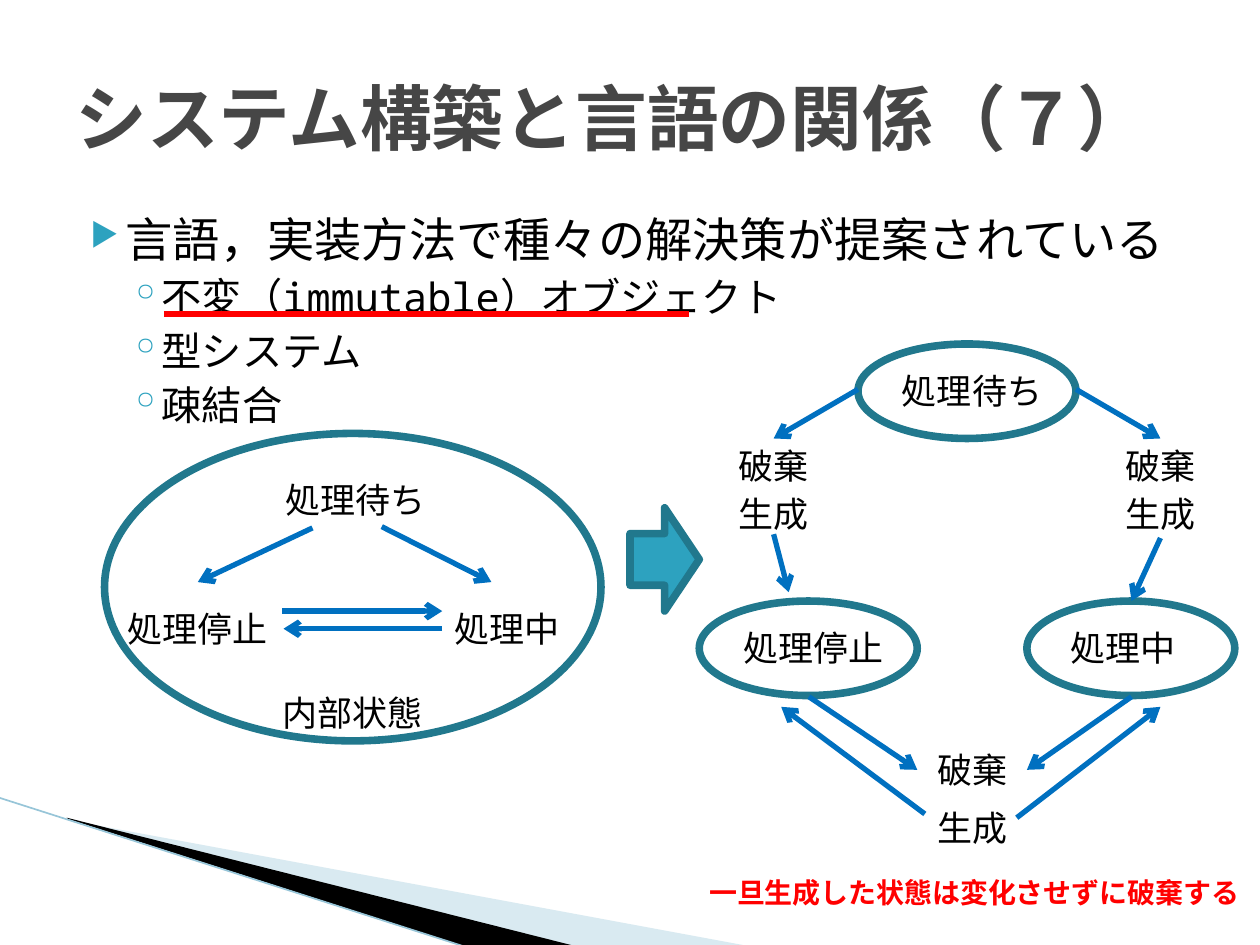
from lxml import etree
from pptx import Presentation, util as u
from pptx.dml.color import RGBColor
from pptx.enum import shapes as sh, text as tx
from pptx.oxml.ns import qn

COLS, ROWS = 100, 75
FONT = "Noto Sans Mono"
INK = {"title": "464646", "text": "000000", "alert": "FF0000", "arrow": "0070C0",
       "ring": "21788D", "accent": "2DA2BF", "pale": "A0CBDC", "edge": "97C5D8"}

deck = Presentation()
deck.slide_width, deck.slide_height = u.Inches(10), u.Inches(7.5)
CELL = deck.slide_width / COLS
page = deck.slides.add_slide(deck.slide_layouts[6])


def grid(*vals):
    """Turn grid cells into slide lengths."""
    return [round(v * CELL) for v in vals]


def shift(box, x, y):
    """Move a point from a box to the slide."""
    return box[0] + x, box[1] + y


def tint(name):
    """Look up a colour by its role."""
    return RGBColor.from_string(INK[name])


def add(node, tag, **attrs):
    """Append a drawing element to a node."""
    return etree.SubElement(node, qn("a:" + tag), attrs)


def style(para, size, color="text", bold=False):
    """Format every run of a paragraph."""
    for run in para.runs:
        font = run.font
        font.size, font.name, font.bold = u.Pt(size), FONT, bold
        font.color.rgb = tint(color)
        add(run._r.get_or_add_rPr(), "ea", typeface=FONT)


def frame(box):
    """Add a wrapping text box and return its frame."""
    body = page.shapes.add_textbox(*grid(*box)).text_frame
    body.word_wrap = True
    return body


def label(box, words, size=20, color="text", bold=False, mid=False):
    """Place one line of text."""
    body = frame(box)
    body.text = words
    para = body.paragraphs[0]
    para.alignment = tx.PP_ALIGN.CENTER if mid else tx.PP_ALIGN.LEFT
    style(para, size, color, bold)
    return body


def line(start, end, color="arrow", width=3, head=True):
    """Draw a straight line, with an arrowhead if asked."""
    link = page.shapes.add_connector(sh.MSO_CONNECTOR.STRAIGHT, *grid(*start, *end))
    link.line.color.rgb, link.line.width = tint(color), u.Pt(width)
    if head:
        add(link.line._get_or_add_ln(), "tailEnd", type="arrow")
    add(link._element.spPr, "effectLst")


def block(kind, box, fill=None):
    """Draw a preset shape with the ring outline."""
    item = page.shapes.add_shape(kind, *grid(*box))
    item.shadow.inherit = False
    item.line.color.rgb, item.line.width = tint("ring"), u.Pt(4.33)
    if fill:
        item.fill.solid()
        item.fill.fore_color.rgb = tint(fill)
    else:
        item.fill.background()


def wedge(box):
    """Draw the corner decoration."""
    sails = [("pale", [(5.5, 1.8), (59.5, 11.8), (45.6, 11.8), (5.5, 1.7)]),
             ("text", [(5.3, 1.6), (45.7, 11.8), (37.2, 11.9), (5.4, 1.7)])]
    for color, spots in sails:
        first, *rest = [grid(*shift(box, *spot)) for spot in spots]
        pen = page.shapes.build_freeform(*first, scale=1)
        pen.add_line_segments(rest, close=True)
        sail = pen.convert_to_shape()
        sail.shadow.inherit = False
        sail.line.fill.background()
        sail.fill.solid()
        sail.fill.fore_color.rgb = tint(color)
        if color == "pale":
            add(sail._element.spPr.find(".//" + qn("a:srgbClr")), "alpha", val="40000")
    line(shift(box, -0.1, 0), shift(box, 37.1, 11.9), "edge", 0.95, False)


def title(box):
    """Place the slide title."""
    body = label(box, "システム構築と言語の関係（７）", 41, "title", True)
    body.vertical_anchor = tx.MSO_ANCHOR.MIDDLE


def points(box):
    """Place the bullet list and its red underline."""
    items = ["言語，実装方法で種々の解決策が提案されている",
             "不変（immutable）オブジェクト", "型システム", "疎結合"]
    body = frame(box)
    body.text = "\n".join(items)
    for n, para in enumerate(body.paragraphs):
        sub = n > 0
        para.level = int(sub)
        para.space_before = u.Pt(3.2 if sub else 4)
        style(para, 23 if sub else 27)
        props = para._p.get_or_add_pPr()
        left, hang = grid(6.8, -2.5) if sub else grid(4, -2.8)
        props.set("marL", str(left))
        props.set("indent", str(hang))
        add(add(props, "buClr"), "srgbClr", val=INK["accent"])
        add(props, "buSzPct", val="100000" if sub else "68000")
        add(props, "buChar", char="◦" if sub else "▶")
    line(shift(box, 8, 8.7), shift(box, 49.7, 8.7), "alert", 3.25, False)


def inner(box):
    """Draw the states held inside one object."""
    for x, y, words in [(13.4, 3.1, "処理待ち"), (26.8, 13.3, "処理中"),
                        (0.8, 13.3, "処理停止")]:
        label((*shift(box, x, y), 14.9, 4.4), words)
    label((*shift(box, 9.4, 20), 20.5, 4.4), "内部状態", mid=True)
    for x, y, to, down in [(22, 7.4, 30.7, 11.8), (26.8, 15.5, 14.2, 15.5),
                           (16.5, 7.5, 7.4, 11.8), (14.1, 14.1, 26.8, 14.1)]:
        line(shift(box, x, y), shift(box, to, down))
    block(sh.MSO_SHAPE.OVAL, box)


def cycle(box):
    """Draw the states that are dropped and made anew."""
    for x, y, wide, words in [(12.6, 0, 17.3, "処理待ち"), (26, 20.4, 16.5, "処理中"),
                              (0, 20.4, 17.3, "処理停止")]:
        label((*shift(box, x + 2.5, y + 1.5), 14.9, 4.4), words)
        block(sh.MSO_SHAPE.OVAL, (*shift(box, x, y), wide, 7.5))
    for x, y, gap in [(0, 7.5, 3.8), (30.7, 7.5, 3.8), (15.8, 31.6, 4.6)]:
        for n, words in enumerate(["破棄", "生成"]):
            label((*shift(box, x, y + n * gap), 11.8, 4.4), words, mid=True)
    for x, y, to, down in [(12.6, 3.6, 5.9, 7.5), (5.9, 15.1, 7.1, 19.7),
                           (29.9, 3.6, 36.6, 7.5), (36.6, 15.4, 34.3, 20.4),
                           (34.3, 28, 26, 33.8), (8.7, 28, 17.3, 33.8),
                           (17.9, 37.3, 6.5, 28.8), (25.2, 37.6, 36.6, 28.8)]:
        line(shift(box, x, y), shift(box, to, down))


def main():
    """Build the slide and save it."""
    wedge((0, 63.3, 60, ROWS - 63.3))
    points((5, 16.2, 90, 49.5))
    title((5, 3, 90, 12.5))
    inner((8.3, 34.4, 39.4, 24.4))
    cycle((55.5, 27.3, 42.5, 40.6))
    block(sh.MSO_SHAPE.RIGHT_ARROW, (50, 40.3, 5.5, 8.2), "accent")
    label((55.3, 69, 44.4, 3.7), "一旦生成した状態は変化させずに破棄する", 16, "alert", True)
    deck.save("out.pptx")


if __name__ == "__main__":
    main()
